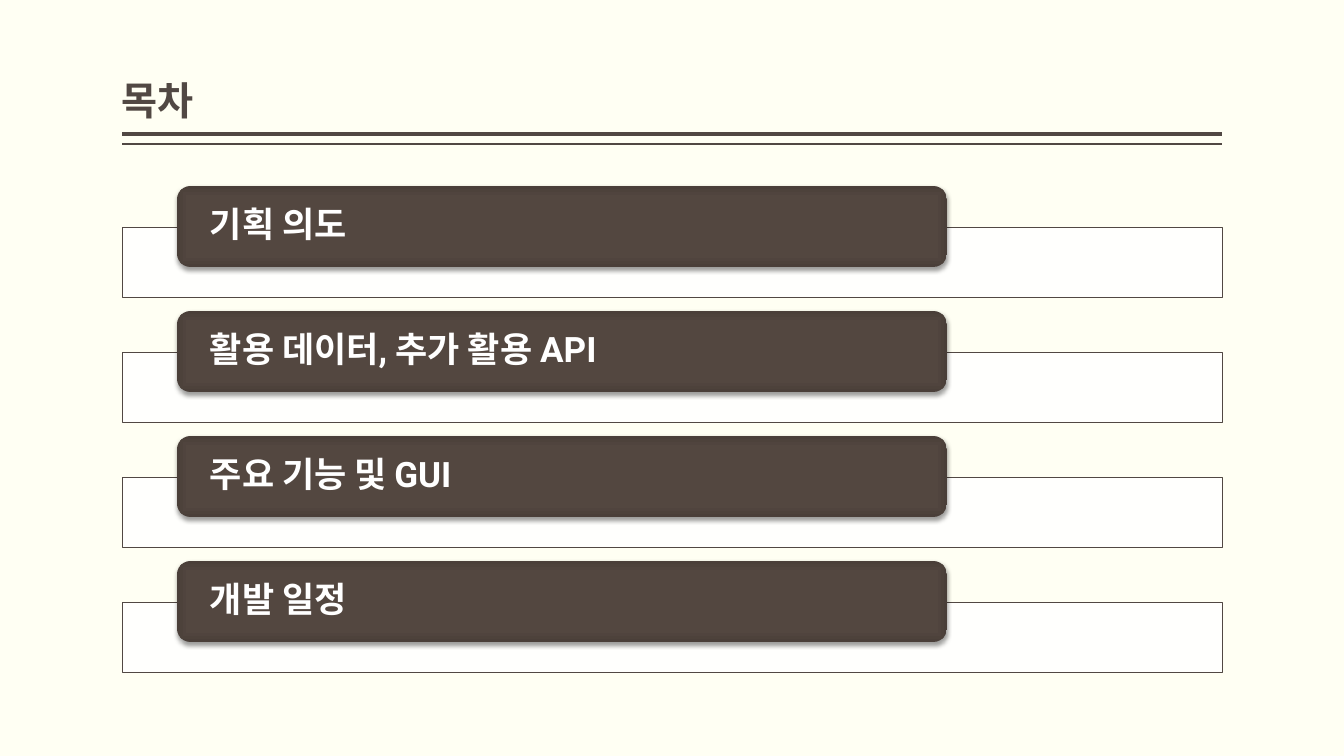
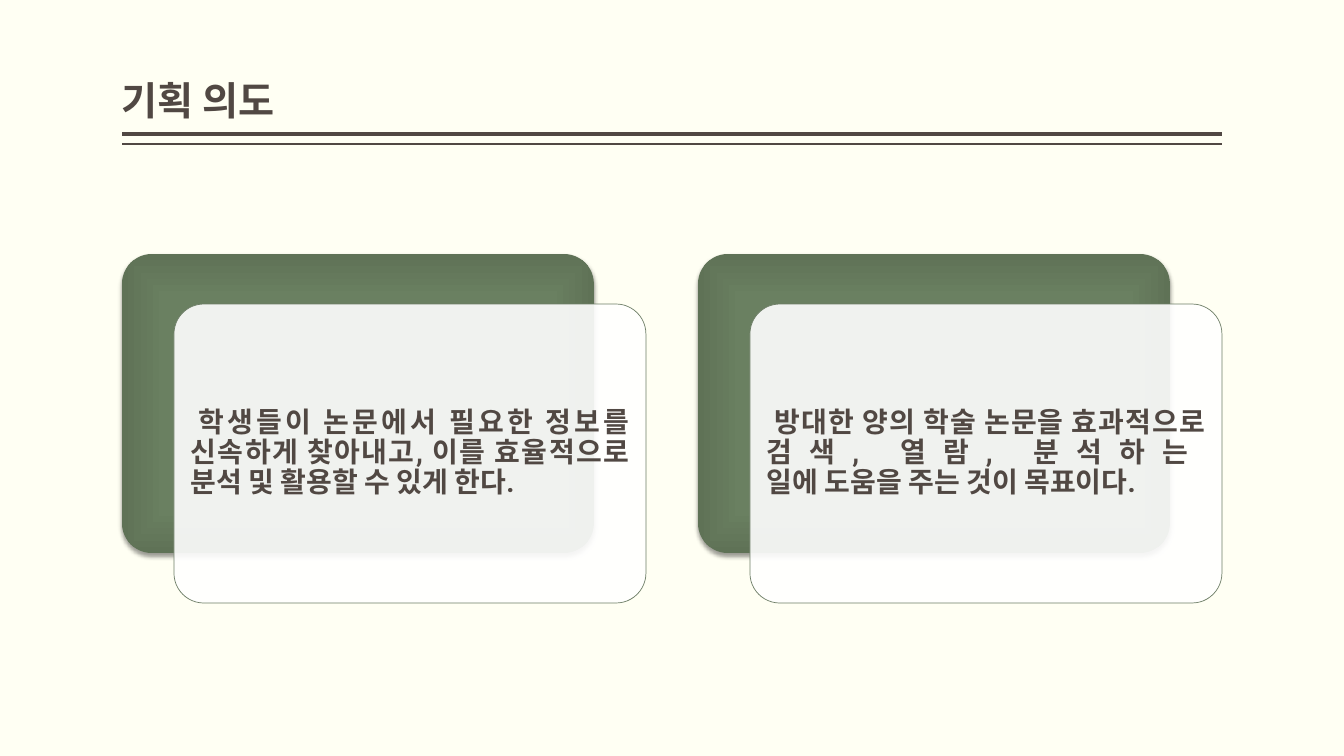
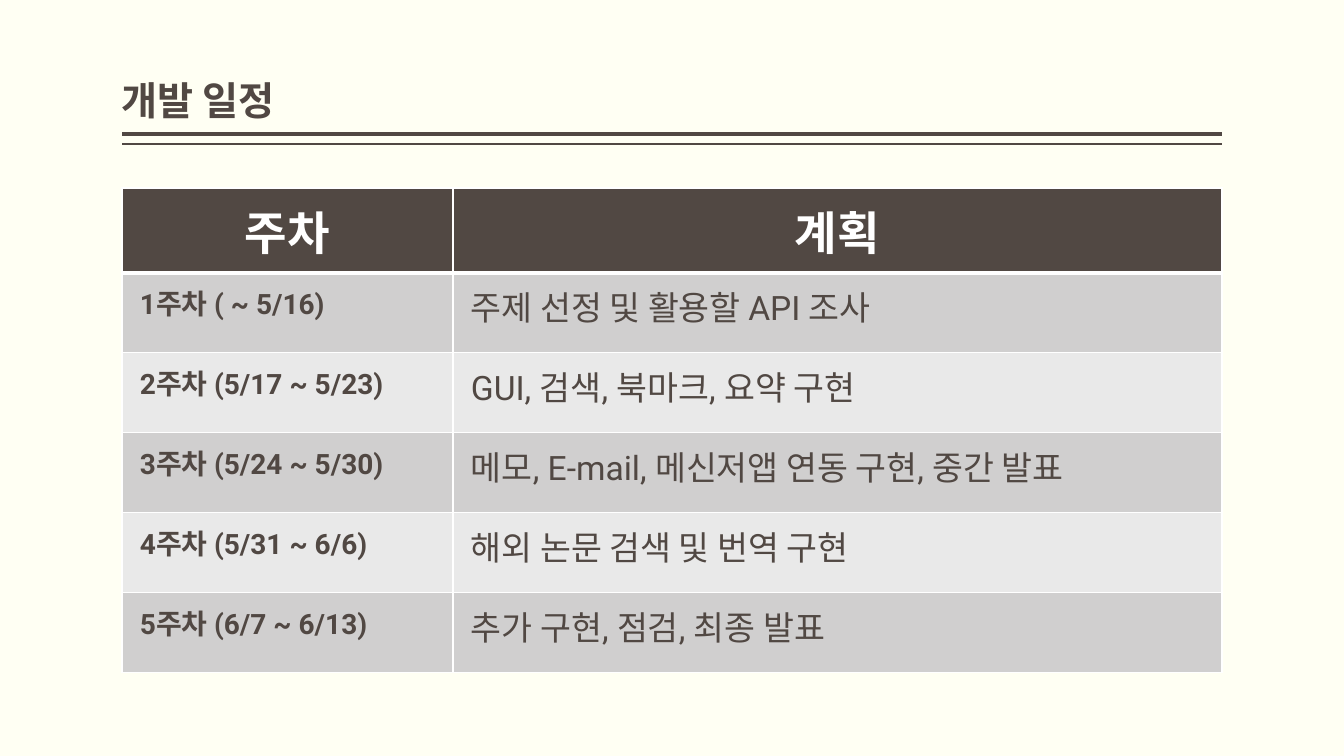
from lxml.etree import SubElement
from pptx import Presentation
from pptx.dml.color import RGBColor
from pptx.enum.shapes import MSO_CONNECTOR as CONNECTOR, MSO_SHAPE as SHAPE
from pptx.enum.text import MSO_ANCHOR as ANCHOR, PP_ALIGN as ALIGN
from pptx.oxml import parse_xml
from pptx.oxml.ns import nsdecls, qn
from pptx.util import Pt

PX = 9072
LEFT, WIDTH = 122, 1100
BROWN, WHITE, CREAM = "514843", "FFFFFF", "FFFFF3"
KOREAN, LATIN = "Noto Sans CJK KR", "Roboto"
BROWN_GLOW = ("544740", "534740", "4A3F39")
GREEN_GLOW = ("6B8162", "6A8061", "5F7256")
color = RGBColor.from_string


def style(para, size, ink, bold=True, face=LATIN, align=ALIGN.LEFT, spacing=0.9):
    para.alignment = align
    para.line_spacing = spacing
    for span in para.runs:
        span.font.size = Pt(size)
        span.font.bold = bold
        span.font.name = face
        span.font.color.rgb = color(ink)
        SubElement(span.font._element, qn("a:ea"), typeface=KOREAN)


def add_panel(page, kind, left, top, width, height, glow=None, edge=None):
    box = page.shapes.add_shape(kind, left * PX, top * PX, width * PX, height * PX)
    box.shadow.inherit = False
    properties = box.element.spPr
    if glow:
        box.line.fill.background()
        box.fill.gradient()
        stops = "".join(
            f'<a:gs pos="{place}"><a:srgbClr val="{tone}"/></a:gs>'
            for place, tone in zip((0, 71000, 100000), glow))
        properties.replace(properties.find(qn("a:gradFill")), parse_xml(
            f'<a:gradFill {nsdecls("a")} rotWithShape="1"><a:gsLst>{stops}</a:gsLst>'
            '<a:path path="rect"><a:fillToRect l="50000" t="50000" r="50000" b="50000"/>'
            '</a:path></a:gradFill>'))
        properties.find(qn("a:effectLst")).append(parse_xml(
            f'<a:outerShdw {nsdecls("a")} blurRad="39370" dist="25400" dir="5400000" '
            'rotWithShape="0"><a:srgbClr val="000000"><a:alpha val="38000"/></a:srgbClr>'
            '</a:outerShdw>'))
    else:
        box.fill.solid()
        box.fill.fore_color.rgb = color(WHITE)
        SubElement(properties.find(qn("a:solidFill"))[0], qn("a:alpha"), val="90000")
        box.line.color.rgb = color(edge)
        box.line.width = Pt(0.5)
    return box


deck = Presentation()
deck.slide_width, deck.slide_height = 1344 * PX, 756 * PX
background = deck.slide_master.background.fill
background.solid()
background.fore_color.rgb = color(CREAM)
layout = deck.slide_layouts.get_by_name("Title Only")

pages = []
for heading in ("목차", "기획 의도", "개발 일정"):
    page = deck.slides.add_slide(layout)
    title = page.shapes.title
    title.left, title.top, title.width, title.height = (
        LEFT * PX, 8 * PX, WIDTH * PX, 121 * PX)
    frame = title.text_frame
    frame.text = heading
    frame.vertical_anchor = ANCHOR.BOTTOM
    frame.margin_left = frame.margin_right = 0
    frame.margin_top = frame.margin_bottom = 5 * PX
    style(frame.paragraphs[0], 28, BROWN, face=KOREAN)
    pages.append(page)
agenda, purpose, schedule = pages

for top, weight in ((134, 3), (144, 1)):
    rule = agenda.shapes.add_connector(
        CONNECTOR.STRAIGHT, (LEFT + WIDTH) * PX, top * PX, LEFT * PX, top * PX)
    rule.line.color.rgb = color(BROWN)
    rule.line.width = Pt(weight)
    SubElement(rule.element.spPr, qn("a:effectLst"))
    layout.shapes.element.append(rule.element)

topics = ("기획 의도", "활용 데이터, 추가 활용 API", "주요 기능 및 GUI", "개발 일정")
for index, topic in enumerate(topics):
    top = 186 + 125 * index
    add_panel(agenda, SHAPE.RECTANGLE, LEFT, top + 41, WIDTH, 70, edge=BROWN)
    tab = add_panel(agenda, SHAPE.ROUNDED_RECTANGLE, 177, top, 770, 81, glow=BROWN_GLOW)
    frame = tab.text_frame
    frame.text = topic
    frame.vertical_anchor = ANCHOR.MIDDLE
    frame.margin_left = frame.margin_right = 29 * PX
    frame.margin_top = frame.margin_bottom = 0
    style(frame.paragraphs[0], 25, WHITE)

goals = (
    "학생들이 논문에서 필요한 정보를 신속하게 찾아내고, 이를 효율적으로 분석 및 활용할 수 있게 한다.",
    "방대한 양의 학술 논문을 효과적으로 검색, 열람, 분석하는\v일에 도움을 주는 것이 목표이다.",
)
for index, goal in enumerate(goals):
    left = LEFT + 576 * index
    back = add_panel(purpose, SHAPE.ROUNDED_RECTANGLE, left, 254, 472, 299, glow=GREEN_GLOW)
    card = add_panel(purpose, SHAPE.ROUNDED_RECTANGLE, left + 52, 304, 472, 299, edge="6D7D66")
    back.adjustments[0] = card.adjustments[0] = 0.1
    frame = card.text_frame
    frame.text = goal
    frame.vertical_anchor = ANCHOR.MIDDLE
    frame.margin_left = frame.margin_right = 8 * PX
    frame.margin_top = frame.margin_bottom = 8 * PX
    para = frame.paragraphs[0]
    style(para, 20, BROWN, align=ALIGN.JUSTIFY)
    para._p.get_or_add_pPr().set("indent", str(8 * PX))

plan = (
    ("주차", "계획"),
    ("1주차 ( ~ 5/16)", "주제 선정 및 활용할 API 조사"),
    ("2주차 (5/17 ~ 5/23)", "GUI, 검색, 북마크, 요약 구현"),
    ("3주차 (5/24 ~ 5/30)", "메모, E-mail, 메신저앱 연동 구현, 중간 발표"),
    ("4주차 (5/31 ~ 6/6)", "해외 논문 검색 및 번역 구현"),
    ("5주차 (6/7 ~ 6/13)", "추가 구현, 점검, 최종 발표"),
)
table = schedule.shapes.add_table(
    len(plan), 2, LEFT * PX, 188 * PX, WIDTH * PX, 80 * len(plan) * PX).table
for column, width in zip(table.columns, (331, 769)):
    column.width = width * PX
for row, entries in enumerate(plan):
    table.rows[row].height = 80 * PX
    for column, entry in enumerate(entries):
        cell = table.cell(row, column)
        cell.text = entry
        cell.margin_left = cell.margin_right = 18 * PX
        cell.margin_top = cell.margin_bottom = 9 * PX
        weights = {"L": 1, "R": 1, "T": 3 if row == 1 else 1, "B": 3 if row == 0 else 1}
        for side, weight in weights.items():
            cell._tc.get_or_add_tcPr().append(parse_xml(
                f'<a:ln{side} {nsdecls("a")} w="{Pt(weight)}"><a:solidFill>'
                f'<a:srgbClr val="{WHITE}"/></a:solidFill></a:ln{side}>'))
        cell.fill.solid()
        para = cell.text_frame.paragraphs[0]
        if row == 0:
            cell.fill.fore_color.rgb = color(BROWN)
            style(para, 33, WHITE, align=ALIGN.CENTER, spacing=1.0)
        else:
            cell.fill.fore_color.rgb = color("D0CFCF" if row % 2 else "E9E9E9")
            style(para, (20, 24)[column], BROWN, bold=column == 0, spacing=1.0)

deck.save("out.pptx")
